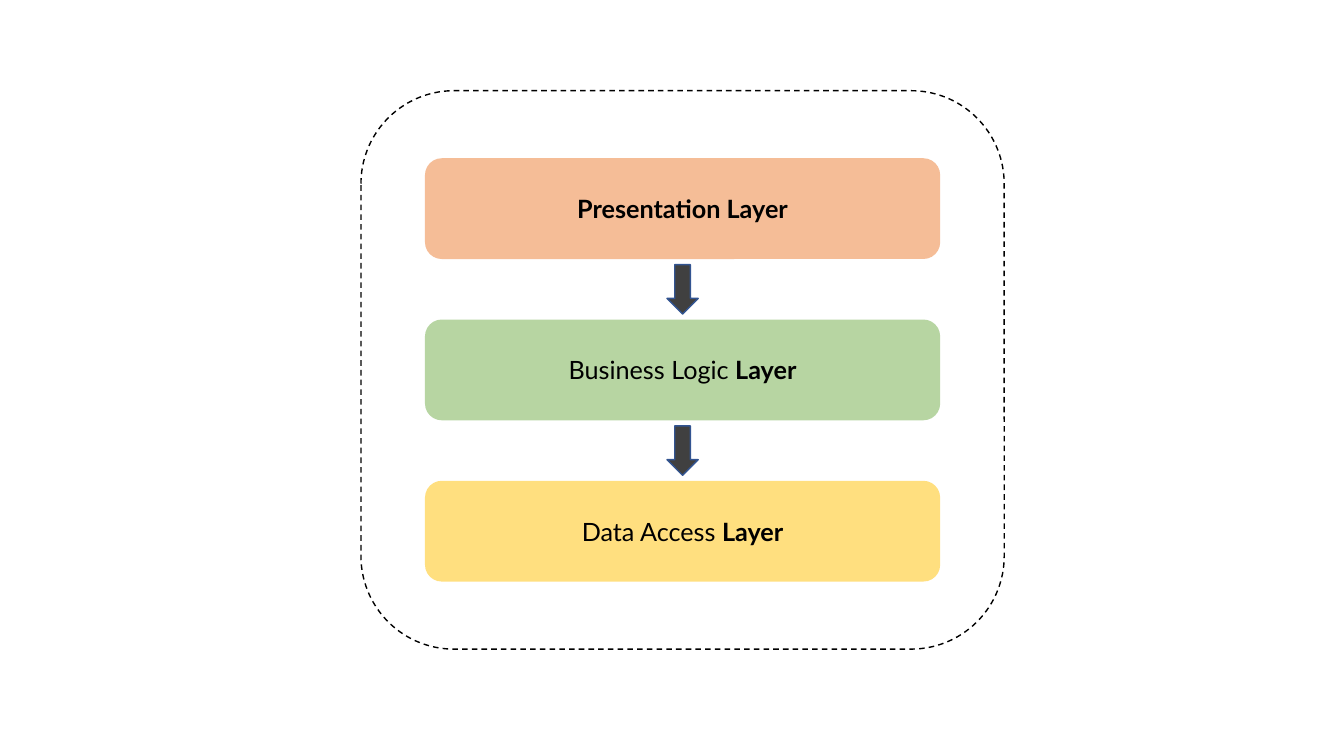
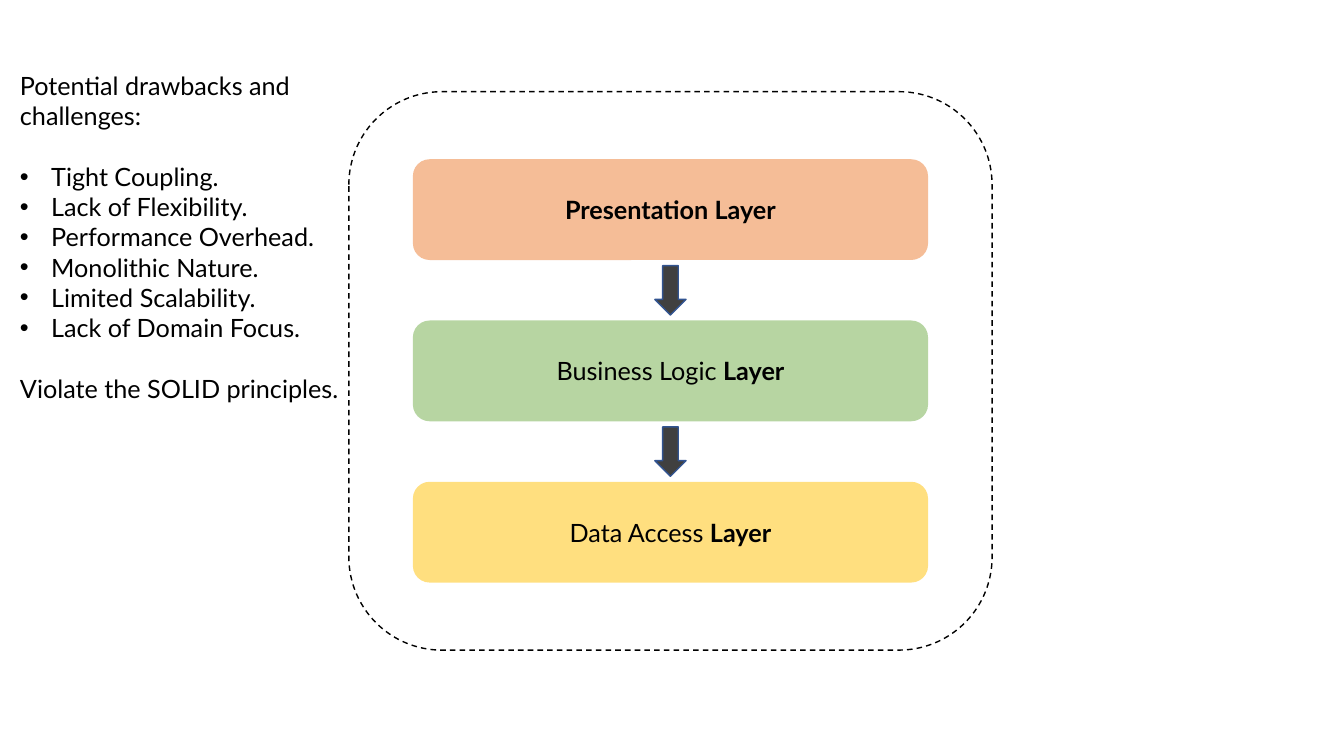
from lxml import etree
from pptx import Presentation
from pptx.dml.color import RGBColor
from pptx.enum.dml import MSO_LINE
from pptx.enum.shapes import MSO_SHAPE
from pptx.enum.text import MSO_ANCHOR, PP_ALIGN
from pptx.oxml.ns import qn
from pptx.util import Inches, Pt

ROUND, ARROW = MSO_SHAPE.ROUNDED_RECTANGLE, MSO_SHAPE.DOWN_ARROW
DASH, MIDDLE = MSO_LINE.DASH, MSO_ANCHOR.MIDDLE
LEFT, CENTER = PP_ALIGN.LEFT, PP_ALIGN.CENTER
FONT = "Lato"
COLORS = {"white": "FFFFFF", "black": "000000", "orange": "ED7D31", "green": "70AD47",
          "gold": "FFC000", "gray": "404040", "blue": "325491"}
LAYERS = [("", "Presentation Layer", "orange"),
          ("Business Logic ", "Layer", "green"),
          ("Data Access ", "Layer", "gold")]
FRAME_W, FRAME_H = 6.38, 5.54
BAR_W, BAR_H, GAP = 5.11, 1, 0.6
ARROW_W, ARROW_H = 0.31, 0.49
DRAWBACKS = ["Tight Coupling.", "Lack of Flexibility.", "Performance Overhead.",
             "Monolithic Nature.", "Limited Scalability.", "Lack of Domain Focus."]


def rgb(name):
    return RGBColor.from_string(COLORS[name])


def add_para(frame, runs, first=False, align=LEFT, size=18, before=0, bullet=False):
    para = frame.paragraphs[0] if first else frame.add_paragraph()
    para.alignment = align
    para.space_before = Pt(before)
    for text, bold in runs:
        run = para.add_run()
        run.text = text
        run.font.name = FONT
        run.font.size = Pt(size)
        run.font.bold = bold
        run.font.color.rgb = rgb("black")
    if bullet:
        props = para._p.get_or_add_pPr()
        props.set("marL", str(Inches(0.31)))
        props.set("indent", str(-Inches(0.31)))
        etree.SubElement(props, qn("a:buFont")).set("typeface", "Arial")
        etree.SubElement(props, qn("a:buChar")).set("char", "•")


def add_box(shapes, kind, box, fill, line=None, dash=None, alpha=None):
    shape = shapes.add_shape(kind, *map(Inches, box))
    shape.shadow.inherit = False
    shape.fill.solid()
    shape.fill.fore_color.rgb = rgb(fill)
    if alpha:
        color = shape._element.spPr.find(qn("a:solidFill"))[0]
        etree.SubElement(color, qn("a:alpha")).set("val", str(alpha * 1000))
    if line:
        shape.line.color.rgb = rgb(line)
        shape.line.width = Pt(1)
        if dash:
            shape.line.dash_style = dash
    else:
        shape.line.fill.background()
    return shape


def add_stack(shapes, left, top):
    add_box(shapes, ROUND, (left, top, FRAME_W, FRAME_H), "white", "black", DASH)
    count = len(LAYERS)
    x = left + (FRAME_W - BAR_W) / 2
    y = top + (FRAME_H - count * BAR_H - (count - 1) * GAP) / 2
    mid = left + (FRAME_W - ARROW_W) / 2
    for i, (plain, strong, fill) in enumerate(LAYERS):
        bar_y = y + i * (BAR_H + GAP)
        bar = add_box(shapes, ROUND, (x, bar_y, BAR_W, BAR_H), fill, alpha=50)
        bar.text_frame.vertical_anchor = MIDDLE
        runs = [(plain, False), (strong, True)] if plain else [(strong, True)]
        add_para(bar.text_frame, runs, first=True, align=CENTER)
        if i:
            arrow_y = bar_y - (GAP + ARROW_H) / 2
            add_box(shapes, ARROW, (mid, arrow_y, ARROW_W, ARROW_H), "gray", "blue")


def add_notes(shapes, left, top, width, height):
    frame = shapes.add_textbox(*map(Inches, (left, top, width, height))).text_frame
    frame.word_wrap = True
    add_para(frame, [("Potential drawbacks and challenges:", False)], first=True)
    for i, text in enumerate(DRAWBACKS):
        add_para(frame, [(text, False)], before=0 if i else 21.6, bullet=True)
    add_para(frame, [("Violate the SOLID principles.", False)], before=21.6)


def main():
    deck = Presentation()
    deck.slide_width, deck.slide_height = Inches(13.33), Inches(7.5)
    blank = deck.slide_layouts[6]
    add_stack(deck.slides.add_slide(blank).shapes, 3.58, 0.9)
    shapes = deck.slides.add_slide(blank).shapes
    add_stack(shapes.add_group_shape().shapes, 3.46, 0.91)
    add_notes(shapes, 0.1, 0.65, 3.86, 3.43)
    deck.save("out.pptx")


if __name__ == "__main__":
    main()
